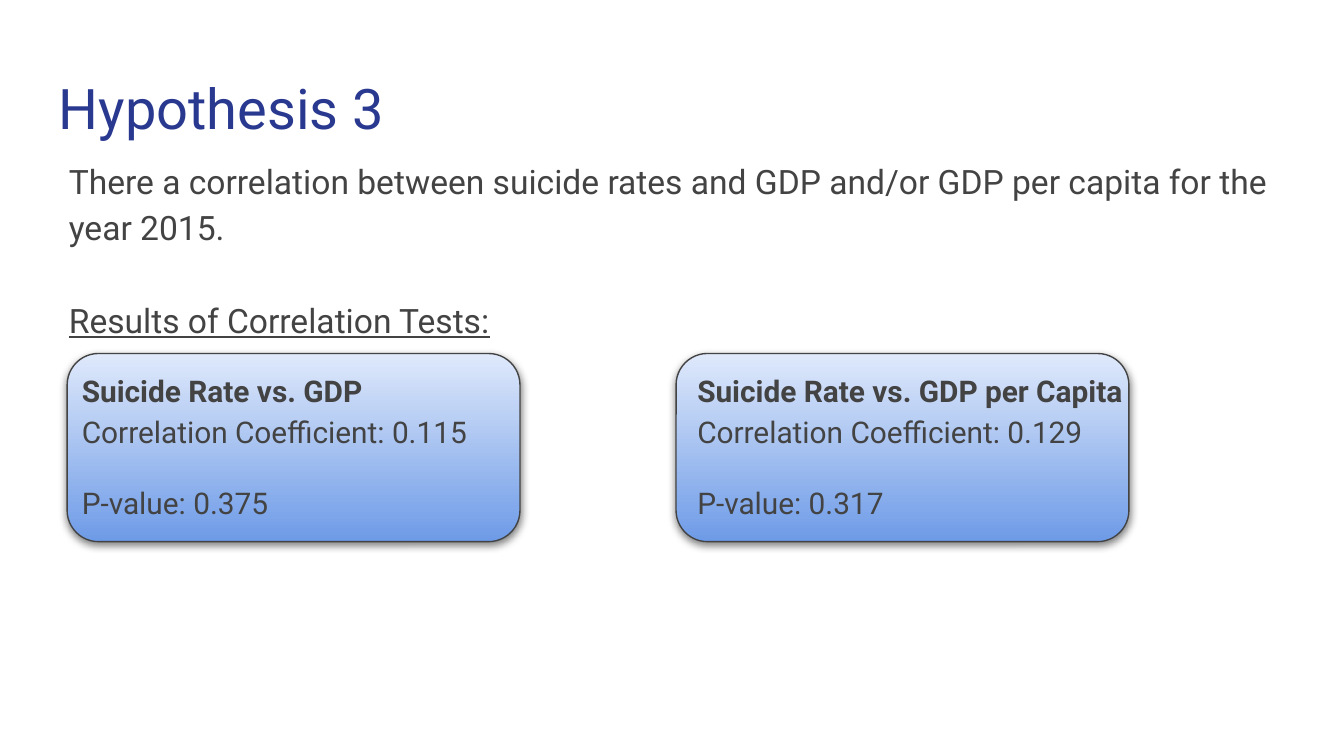
from dataclasses import dataclass

from lxml import etree
from pptx import Presentation
from pptx.dml.color import RGBColor
from pptx.enum.shapes import MSO_SHAPE
from pptx.enum.text import MSO_ANCHOR
from pptx.oxml.ns import qn
from pptx.util import Pt

ROUNDED = MSO_SHAPE.ROUNDED_RECTANGLE
TOP = MSO_ANCHOR.TOP


@dataclass(frozen=True)
class Theme:
    font: str = "Roboto"
    title_color: str = "2A3990"
    text_color: str = "434343"
    card_top: str = "DFE9FB"
    card_bottom: str = "6E9BE7"
    shadow: str = "000000"
    title_size: float = 30
    body_size: float = 18
    card_size: float = 16


THEME = Theme()


def rgb(value):
    return RGBColor.from_string(value)


def add_text_frame(slide, left, top, width, height):
    box = slide.shapes.add_textbox(Pt(left), Pt(top), Pt(width), Pt(height))
    frame = box.text_frame
    frame.word_wrap = True
    frame.vertical_anchor = TOP
    frame.margin_left = frame.margin_right = Pt(7.2)
    frame.margin_top = frame.margin_bottom = Pt(7.2)
    return frame


def write(paragraph, text, size, color=THEME.text_color, bold=False,
          underline=False, spacing=1.15, before=0):
    paragraph.line_spacing = spacing
    paragraph.space_before = Pt(before)
    run = paragraph.add_run()
    run.text = text
    font = run.font
    font.name = THEME.font
    font.size = Pt(size)
    font.color.rgb = rgb(color)
    font.bold = bold
    font.underline = underline


def add_drop_shadow(shape):
    shape.shadow.inherit = False
    effects = shape._element.spPr.find(qn("a:effectLst"))
    shadow = etree.SubElement(
        effects, qn("a:outerShdw"), blurRad=str(Pt(4.5)), dist=str(Pt(1.5)),
        dir="5400000", algn="bl", rotWithShape="0")
    color = etree.SubElement(shadow, qn("a:srgbClr"), val=THEME.shadow)
    etree.SubElement(color, qn("a:alpha"), val="50000")


def add_title(slide, left, top, width, height):
    frame = add_text_frame(slide, left, top, width, height)
    write(frame.paragraphs[0], "Hypothesis 3", THEME.title_size,
          THEME.title_color, spacing=1)


def add_statement(slide, left, top, width, height):
    frame = add_text_frame(slide, left, top, width, height)
    write(frame.paragraphs[0],
          "There a correlation between suicide rates and GDP and/or "
          "GDP per capita for the year 2015.", THEME.body_size)
    write(frame.add_paragraph(), "Results of Correlation Tests:",
          THEME.body_size, underline=True, before=25)


def add_result_card(slide, left, top, width, height, text_offset,
                    heading, coefficient, p_value):
    card = slide.shapes.add_shape(ROUNDED, Pt(left), Pt(top), Pt(width), Pt(height))
    card.fill.gradient()
    card.fill.gradient_angle = 270
    for stop, color in zip(card.fill.gradient_stops,
                           (THEME.card_top, THEME.card_bottom)):
        stop.color.rgb = rgb(color)
    card.fill.gradient_stops[0].position = 0
    card.fill.gradient_stops[1].position = 1
    card.line.color.rgb = rgb(THEME.text_color)
    card.line.width = Pt(0.75)
    add_drop_shadow(card)

    frame = add_text_frame(slide, left + text_offset, top, width + 1, height - 12)
    write(frame.paragraphs[0], heading, THEME.card_size, bold=True)
    write(frame.add_paragraph(), f"Correlation Coefficient: {coefficient}",
          THEME.card_size)
    write(frame.add_paragraph(), f"P-value: {p_value}", THEME.card_size, before=16)


def main():
    presentation = Presentation()
    presentation.slide_width = Pt(720)
    presentation.slide_height = Pt(405)
    slide = presentation.slides.add_slide(presentation.slide_layouts[6])

    add_title(slide, 24.5, 32.4, 671, 47.5)
    add_statement(slide, 29.8, 75.6, 671, 70)
    results = (
        (36, 0.8, "Suicide Rate vs. GDP", "0.115", "0.375"),
        (362.2, 4.3, "Suicide Rate vs. GDP per Capita", "0.129", "0.317"),
    )
    for left, *result in results:
        add_result_card(slide, left, 189.4, 242.6, 100.8, *result)

    presentation.save("out.pptx")


if __name__ == "__main__":
    main()
